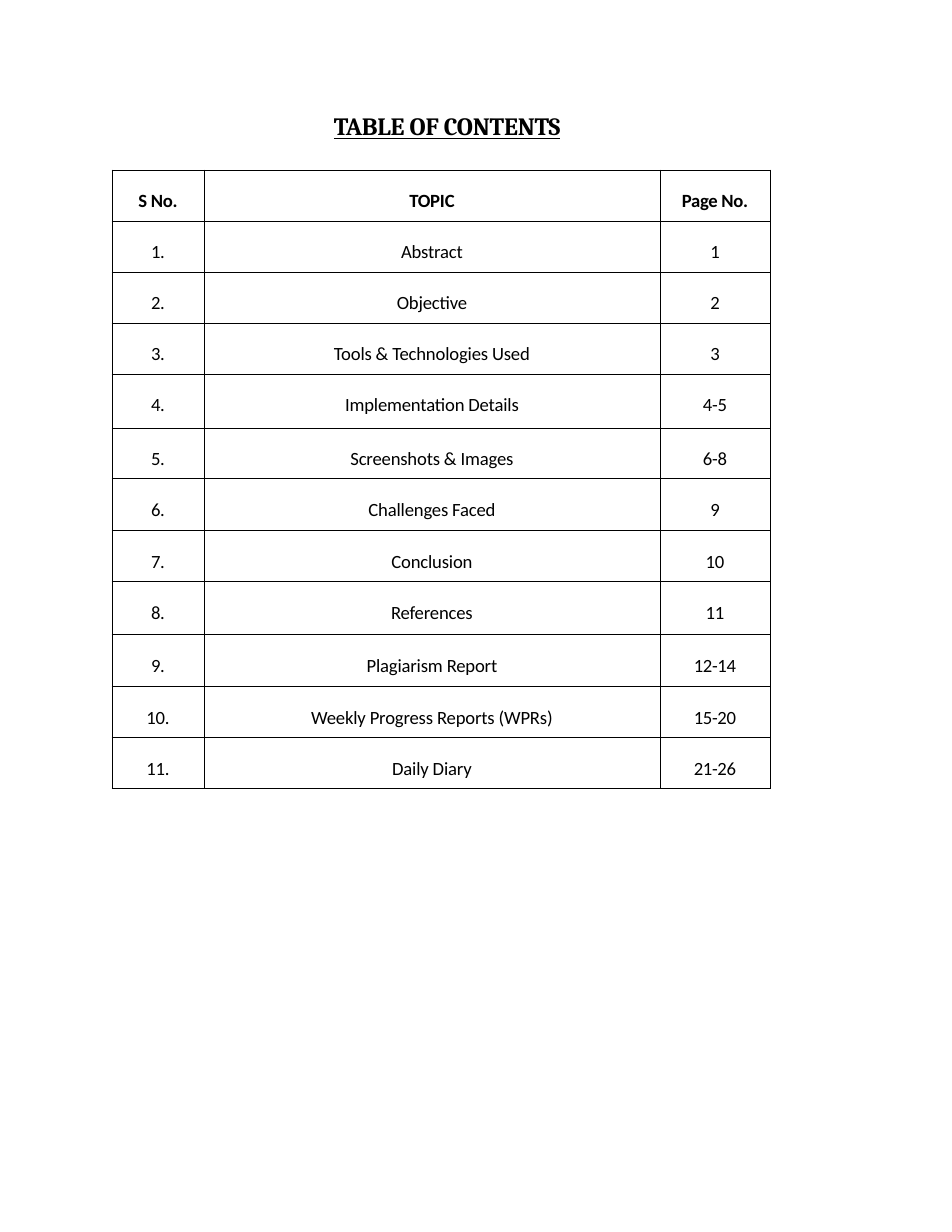
from dataclasses import dataclass

from lxml import etree
from pptx import Presentation
from pptx.dml.color import RGBColor
from pptx.enum.text import MSO_ANCHOR, PP_ALIGN
from pptx.oxml.ns import qn
from pptx.util import Pt

PX = 914400 // 112
LEFT, CENTER = PP_ALIGN.LEFT, PP_ALIGN.CENTER
TOP = MSO_ANCHOR.TOP


@dataclass(frozen=True)
class Theme:
    ink: str = "000000"
    head_font: str = "Cambria"
    body_font: str = "Calibri"
    head_size: int = 16
    body_size: int = 12
    rule: float = 0.5


class Page:
    def __init__(self, deck, theme):
        self.theme = theme
        self.slide = deck.slides.add_slide(deck.slide_layouts[6])

    def label(self, frame, text, style, align, before, track):
        para = frame.paragraphs[0]
        para.alignment = align
        para.space_before = Pt(before)
        run = para.add_run()
        run.text = text
        for name, value in style.items():
            setattr(run.font, name, value)
        run.font.color.rgb = RGBColor.from_string(self.theme.ink)
        # Letter spacing in hundredths of a point
        run.font._element.set("spc", str(track))

    def title(self, text, box):
        frame = self.slide.shapes.add_textbox(*(n * PX for n in box)).text_frame
        form = dict(word_wrap=True, margin_left=0, margin_top=PX,
                    margin_right=0, margin_bottom=0)
        for name, value in form.items():
            setattr(frame, name, value)
        style = dict(name=self.theme.head_font, size=Pt(self.theme.head_size),
                     bold=True, underline=True)
        self.label(frame, text, style, LEFT, 0.9, -10)

    def border(self, cell):
        props = cell._tc.get_or_add_tcPr()
        for side in ("lnL", "lnR", "lnT", "lnB"):
            line = etree.SubElement(props, qn("a:" + side), w=str(Pt(self.theme.rule)))
            fill = etree.SubElement(line, qn("a:solidFill"))
            etree.SubElement(fill, qn("a:srgbClr"), val=self.theme.ink)

    def table(self, rows, left, top, widths, heights, tracks):
        grid = self.slide.shapes.add_table(
            len(rows), len(widths), left * PX, top * PX,
            sum(widths) * PX, sum(heights) * PX).table
        grid.first_row = grid.horz_banding = False
        for col, width in zip(grid.columns, widths):
            col.width = width * PX
        for row, height in zip(grid.rows, heights):
            row.height = height * PX
        form = dict(margin_left=0, margin_top=20 * PX, margin_right=0,
                    margin_bottom=0, vertical_anchor=TOP)
        for r, row in enumerate(rows):
            style = dict(name=self.theme.body_font, size=Pt(self.theme.body_size),
                         bold=r == 0)
            for c, text in enumerate(row):
                cell = grid.cell(r, c)
                for name, value in form.items():
                    setattr(cell, name, value)
                self.border(cell)
                cell.fill.background()
                self.label(cell.text_frame, text, style, CENTER, 12.9, tracks[c])


TOPICS = [
    ("Abstract", "1"),
    ("Objective", "2"),
    ("Tools & Technologies Used", "3"),
    ("Implementation Details", "4-5"),
    ("Screenshots & Images", "6-8"),
    ("Challenges Faced", "9"),
    ("Conclusion", "10"),
    ("References", "11"),
    ("Plagiarism Report", "12-14"),
    ("Weekly Progress Reports (WPRs)", "15-20"),
    ("Daily Diary", "21-26"),
]


def main():
    deck = Presentation()
    deck.slide_width, deck.slide_height = 952 * PX, 1232 * PX
    page = Page(deck, Theme())

    # Heading
    page.title("TABLE OF CONTENTS", (334, 110, 244, 32))

    # Contents table, numbered by rule
    rows = [("S No.", "TOPIC", "Page No.")]
    rows += [(f"{n}.", *topic) for n, topic in enumerate(TOPICS, 1)]
    heights = [51, 51, 51, 51, 54, 51, 52, 51, 53, 52, 51, 51]
    page.table(rows, 112, 170, (92, 456, 110), heights, (-20, -10, -20))

    deck.save("out.pptx")


if __name__ == "__main__":
    main()
